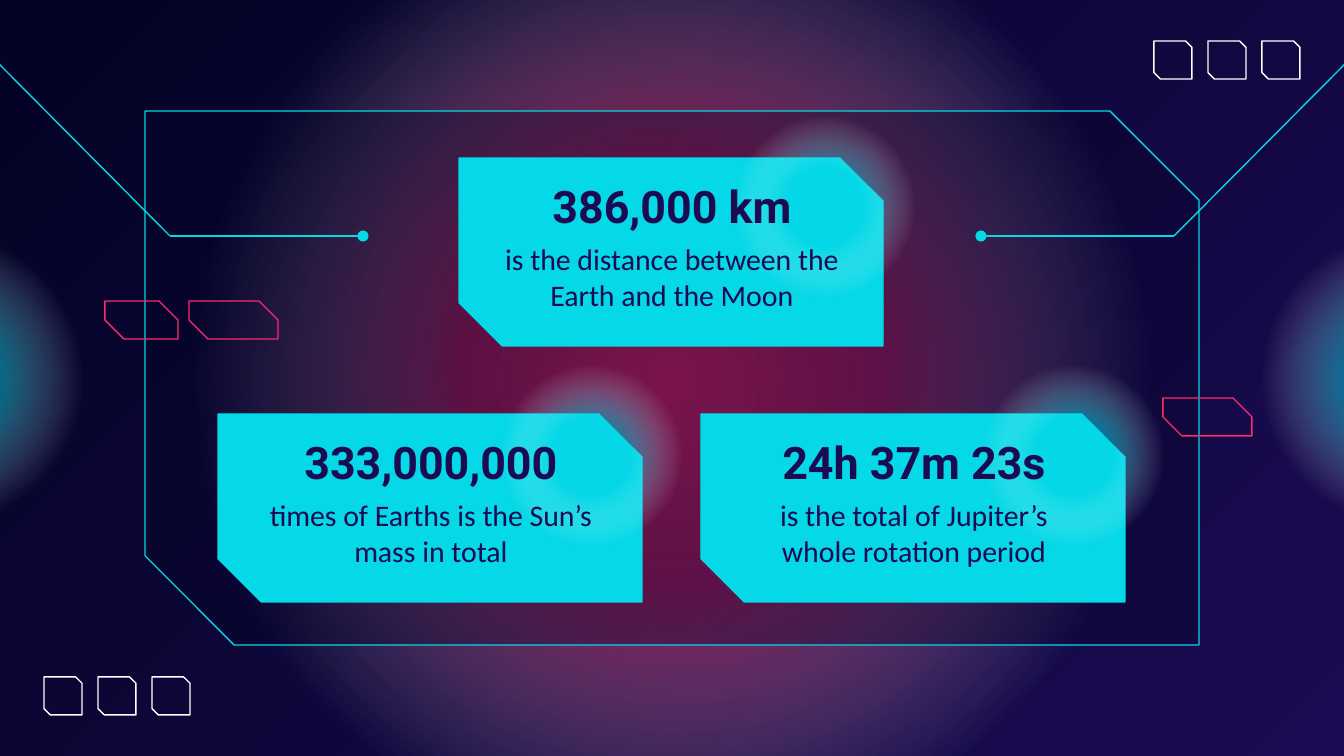
from dataclasses import dataclass

from lxml import etree
from pptx import Presentation
from pptx.dml.color import RGBColor as Rgb
from pptx.enum.shapes import MSO_CONNECTOR as Connector, MSO_SHAPE as Shape
from pptx.enum.text import MSO_ANCHOR as Anchor, MSO_AUTO_SIZE as AutoSize, PP_ALIGN as Align
from pptx.oxml.ns import nsdecls, qn
from pptx.util import Pt

PX = 914400 / 134.4  # EMU in one px
WIDTH, HEIGHT = 1344, 756


@dataclass(frozen=True)
class Theme:
    night: str = "030325"
    indigo: str = "1B0B52"
    cyan: str = "05D8E7"
    pink: str = "FF296D"
    white: str = "FFFFFF"
    heading_font: str = "Roboto"
    body_font: str = "Calibri"
    heading_size: int = 24
    body_size: int = 16
    line_width: float = 0.75


theme = Theme()

deck = Presentation()
deck.slide_width, deck.slide_height = round(WIDTH * PX), round(HEIGHT * PX)
page = deck.slides.add_slide(deck.slide_layouts.get_by_name("Comparison"))
shapes = page.shapes


def add_snip(left, top, width, height, snip, line, fill=None):
    """Add a box with its top right and bottom left corners cut."""
    lengths = [round(v * PX) for v in (left, top, width, height)]
    box = shapes.add_shape(Shape.SNIP_2_DIAG_RECTANGLE, *lengths)
    box.shadow.inherit = False
    box.adjustments[0], box.adjustments[1] = 0, snip
    box.line.color.rgb = Rgb.from_string(line)
    box.line.width = Pt(theme.line_width)
    if fill:
        box.fill.solid()
        box.fill.fore_color.rgb = Rgb.from_string(fill)
    else:
        box.fill.background()
    return box


def add_glow(left, top, size, color, center_alpha, ring_alpha):
    """Add a circle that fades from its center to nothing."""
    lengths = [round(v * PX) for v in (left, top, size, size)]
    glow = shapes.add_shape(Shape.OVAL, *lengths)
    glow.shadow.inherit = False
    glow.line.fill.background()
    glow.fill.background()
    stops = "".join(
        f'<a:gs pos="{place * 1000}"><a:srgbClr val="{tint}">'
        f'<a:alpha val="{alpha * 1000}"/></a:srgbClr></a:gs>'
        for place, tint, alpha in (
            (0, color, center_alpha), (30, color, ring_alpha),
            (69, theme.white, 0), (100, theme.white, 0))
    )
    gradient = etree.fromstring(
        f'<a:gradFill {nsdecls("a")} rotWithShape="1"><a:gsLst>{stops}</a:gsLst>'
        '<a:path path="circle"><a:fillToRect l="50000" t="50000" r="50000" b="50000"/>'
        '</a:path></a:gradFill>')
    properties = glow._element.spPr
    properties.replace(properties.find(qn("a:noFill")), gradient)


# Background
backdrop = page.background.fill
backdrop.gradient()
backdrop.gradient_angle = 315
for stop, color in zip(backdrop.gradient_stops, (theme.night, theme.indigo)):
    stop.color.rgb = Rgb.from_string(color)

add_glow(181, -113, 982, theme.pink, 67, 49)
for left in (-214, 1258):
    add_glow(left, 228, 300, theme.cyan, 71, 48)

# Translucent frame
frame = add_snip(145, 111, 1054, 534, 0.167, theme.cyan, theme.night)
frame_color = frame._element.spPr.find(qn("a:solidFill")).find(qn("a:srgbClr"))
etree.SubElement(frame_color, qn("a:alpha")).set("val", "31000")

# Fact cards: left, top, heading, sentence
cards = (
    (701, 414, "24h 37m 23s", "is the total of Jupiter’s whole rotation period"),
    (218, 414, "333,000,000", "times of Earths is the Sun’s mass in total"),
    (459, 158, "386,000 km", "is the distance between the Earth and the Moon"),
)
for left, top, _, _ in cards:
    add_snip(left, top, 424, 188, 0.23, theme.cyan, theme.cyan)

# Circuit lines, mirrored left and right
for mirrored in (False, True):
    points = [(-5, 60), (170, 236), (363, 236)]
    if mirrored:
        points = [(WIDTH - x, y) for x, y in points]
    for start, end in zip(points, points[1:]):
        lengths = [round(v * PX) for v in (*start, *end)]
        wire = shapes.add_connector(Connector.STRAIGHT, *lengths)
        wire.line.color.rgb = Rgb.from_string(theme.cyan)
        wire.line.width = Pt(theme.line_width)
        if end == points[-1]:
            etree.SubElement(wire.line._get_or_add_ln(), qn("a:tailEnd")).set("type", "oval")
        etree.SubElement(wire._element.spPr, qn("a:effectLst"))

# Pink tags
for left, top, width in ((105, 301, 73), (189, 301, 89), (1163, 398, 89)):
    add_snip(left, top, width, 38, 0.5, theme.pink)

# Glows on the card corners
for left, top in ((732, 114), (981, 363), (499, 363)):
    add_glow(left, top, 185, theme.cyan, 71, 48)

# Card texts: the layout has five placeholders, the sixth text is a text box
holders = {holder.placeholder_format.idx: holder for holder in page.placeholders}
text_pairs = (
    (holders[3], holders[4]),
    (holders[1], holders[2]),
    (holders[0], shapes.add_textbox(0, 0, 0, 0)),
)
styles = (
    (15, 66, Anchor.MIDDLE, theme.heading_font, theme.heading_size, True),
    (70, 102, Anchor.TOP, theme.body_font, theme.body_size, False),
)
for (left, top, *texts), boxes in zip(cards, text_pairs):
    for box, text, (drop, height, anchor, font, size, bold) in zip(boxes, texts, styles):
        box.left, box.top = round((left + 31) * PX), round((top + drop) * PX)
        box.width, box.height = round(364 * PX), round(height * PX)
        shapes._spTree.append(box._element)  # bring in front of the cards
        frame_text = box.text_frame
        frame_text.word_wrap = True
        frame_text.auto_size = AutoSize.NONE
        frame_text.vertical_anchor = anchor
        frame_text.margin_left = frame_text.margin_right = round(13 * PX)
        frame_text.margin_top = frame_text.margin_bottom = round(13 * PX)
        para = frame_text.paragraphs[0]
        settings = para._p.get_or_add_pPr()
        settings.set("marL", "0")
        settings.set("indent", "0")
        etree.SubElement(settings, qn("a:buNone"))
        para.alignment = Align.CENTER
        para.space_before = Pt(0)
        span = para.add_run()
        span.text = text
        span.font.name, span.font.size, span.font.bold = font, Pt(size), bold
        span.font.color.rgb = Rgb.from_string(theme.indigo)

# White squares in two corners
for left, top in ((44, 677), (1154, 41)):
    for column in range(3):
        add_snip(left + column * 54, top, 38, 38, 0.167, theme.white)

deck.save("out.pptx")
